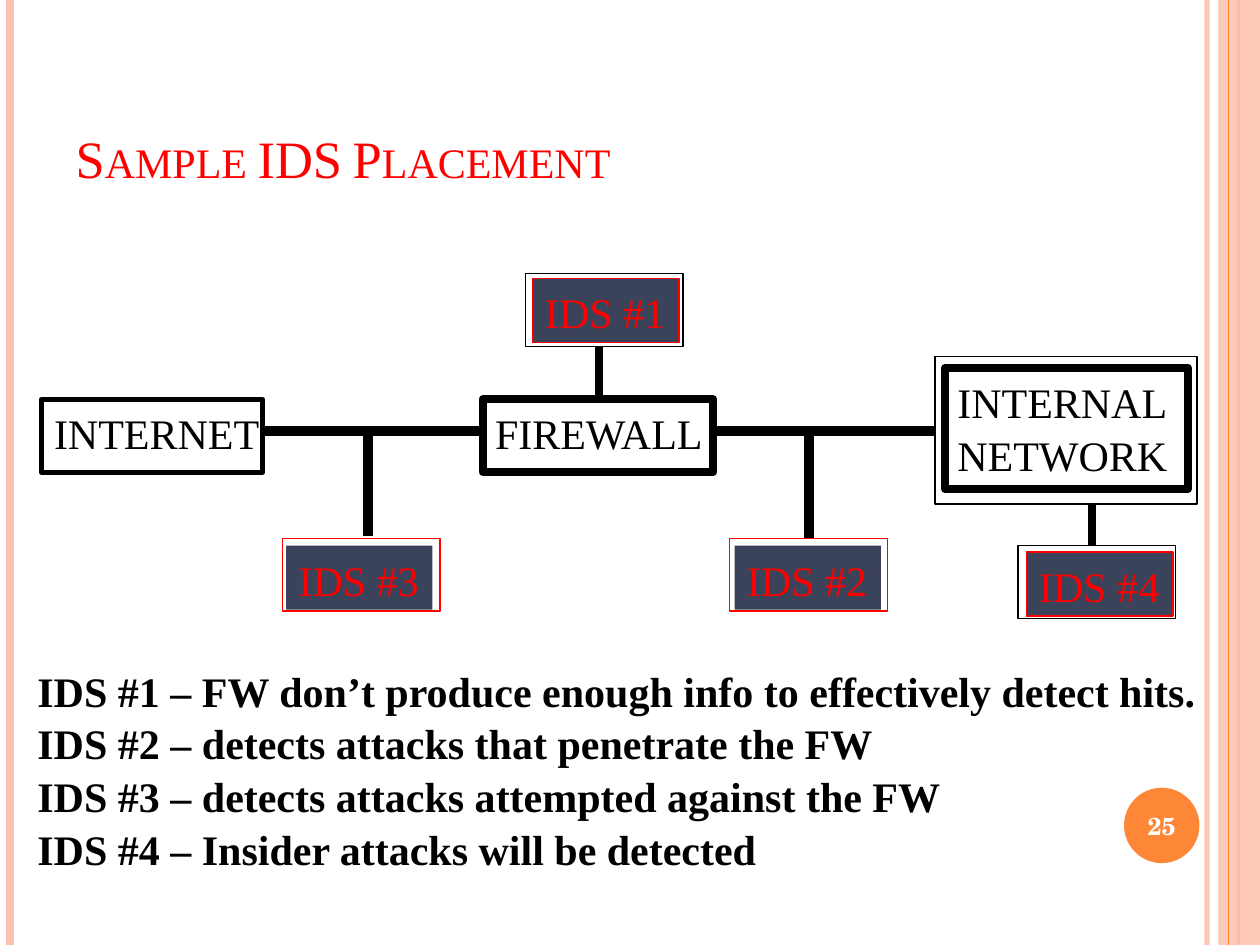
from dataclasses import dataclass
from lxml.etree import SubElement
from pptx import Presentation
from pptx.dml.color import RGBColor as Rgb
from pptx.enum.shapes import MSO_CONNECTOR as Conn, MSO_SHAPE as Kind
from pptx.enum.text import MSO_ANCHOR as Anchor, MSO_AUTO_SIZE as Auto, PP_ALIGN as Align
from pptx.oxml.ns import qn
from pptx.util import Cm, Pt


@dataclass(frozen=True)
class Theme:
    black: str = "000000"
    white: str = "FFFFFF"
    red: str = "FF0000"
    navy: str = "3B435B"
    peach: str = "FEC3AE"
    orange: str = "FE8637"
    serif: str = "Times New Roman"
    school: str = "TeX Gyre Schola"
    head: int = 30
    text: int = 24
    page: int = 14
    lead: float = 1.05


LOOK = Theme()


def style(item, form):
    for key, value in form.items():
        setattr(item, key, value)


def place(item, box):
    sides = ("left", "top", "width", "height")
    style(item, dict(zip(sides, map(Cm, box))))


def fade(color, share):
    """Make a solid colour partly transparent."""
    for node in color.iter(qn("a:srgbClr")):
        SubElement(node, qn("a:alpha"), val=str(share * 1000))


def write(shape, lines, color=LOOK.black, size=LOOK.text, face=LOOK.serif,
          bold=False, align=Align.LEFT, lead=LOOK.lead, **form):
    frame = shape.text_frame
    frame.text = "\n".join(lines)
    style(frame, {"auto_size": Auto.NONE, "word_wrap": False,
                  "vertical_anchor": Anchor.TOP} | form)
    for para in frame.paragraphs:
        style(para, {"alignment": align, "line_spacing": lead,
                     "space_before": Pt(0)})
        for run in para.runs:
            style(run.font, {"name": face, "size": Pt(size), "bold": bold})
            run.font.color.rgb = Rgb.from_string(color)


def block(slide, box, fill=None, line=None, width=0.75, kind=Kind.RECTANGLE):
    shape = slide.shapes.add_shape(kind, *map(Cm, box))
    shape.shadow.inherit = False
    if fill:
        shape.fill.solid()
        shape.fill.fore_color.rgb = Rgb.from_string(fill)
    else:
        shape.fill.background()
    if line:
        shape.line.color.rgb = Rgb.from_string(line)
        shape.line.width = Pt(width)
    else:
        shape.line.fill.background()
    return shape


def wire(slide, ends, width, color=LOOK.black):
    link = slide.shapes.add_connector(Conn.STRAIGHT, *map(Cm, ends))
    link.line.color.rgb = Rgb.from_string(color)
    link.line.width = Pt(width)
    SubElement(link._element.spPr, qn("a:effectLst"))
    return link


def rails(slide, high):
    """Stripes along both edges of the page."""
    def rail(x, width, color):
        return wire(slide, (x, 0, x, high), width, color)

    fade(rail(24.33, 3, LOOK.peach)._element, 93)
    rail(0.2, 4.5, LOOK.peach)
    rail(24.97, 1.5, LOOK.orange)
    fade(block(slide, (24.56, 0, 0.84, high), LOOK.peach)._element, 87)
    rail(24.77, 0.75, LOOK.orange)


def node(slide, box, lines, width):
    write(block(slide, box, None, LOOK.black, width), lines, margin_right=0)


def sensor(slide, name, outer, inner, edge, rim=None):
    """A dark label inside a thin frame."""
    label = block(slide, (*inner, 2.95, 1.29), LOOK.navy, rim)
    write(label, [name], LOOK.red)
    block(slide, (*outer, 3.18, 1.47), None, edge)


def heading(slide, words):
    title = slide.shapes.title
    place(title, (1.27, 0.76, 20.75, 3.18))
    write(title, [words], LOOK.red, LOOK.head, lead=1.0,
          word_wrap=True, vertical_anchor=Anchor.BOTTOM)
    title.text_frame.paragraphs[0].runs[0]._r.get_or_add_rPr().set("cap", "small")


def notes(slide, lines):
    body = slide.placeholders[1]
    place(body, (0.5, 13.23, 24.05, 4.32))
    write(body, lines, bold=True, word_wrap=True)
    for para in body.text_frame.paragraphs:
        props = para._p.get_or_add_pPr()
        style_none = {"marL": "0", "indent": "0"}
        for key, value in style_none.items():
            props.set(key, value)
        SubElement(props, qn("a:buNone"))


def main():
    deck = Presentation()
    style(deck, {"slide_width": Cm(25.4), "slide_height": Cm(19.05)})
    slide = deck.slides.add_slide(deck.slide_layouts[1])

    # Page frame and title
    rails(slide, 19.05)
    heading(slide, "Sample IDS Placement")

    # Network nodes
    node(slide, (0.84, 8.05, 4.45, 1.47), ["INTERNET"], 3)
    node(slide, (9.73, 8.05, 4.65, 1.47), ["FIREWALL"], 4.5)
    node(slide, (19.05, 7.42, 4.9, 2.44), ["INTERNAL", "NETWORK"], 4.5)
    block(slide, (18.85, 7.19, 5.28, 2.97), None, LOOK.black)

    # Sensors
    for spot in (
        ("IDS #1", (10.59, 5.51), (10.74, 5.61), LOOK.black, LOOK.red),
        ("IDS #2", (14.71, 10.85), (14.81, 11), LOOK.red),
        ("IDS #3", (5.69, 10.85), (5.77, 11), LOOK.red),
        ("IDS #4", (20.52, 11), (20.7, 11.13), LOOK.black, LOOK.red),
    ):
        sensor(slide, *spot)

    # Wiring
    for *ends, width in (
        (5.28, 8.69, 9.73, 8.69, 6),
        (14.4, 8.69, 18.85, 8.69, 6),
        (7.42, 10.8, 7.42, 8.69, 6),
        (16.31, 10.85, 16.31, 8.74, 6),
        (22.02, 11, 22.02, 10.16, 4.5),
        (12.07, 6.99, 12.07, 8.05, 4.5),
    ):
        wire(slide, ends, width)

    # Findings
    notes(slide, [
        "IDS #1 – FW don’t produce enough info to effectively detect hits.",
        "IDS #2 – detects attacks that penetrate the FW",
        "IDS #3 – detects attacks attempted against the FW",
        "IDS #4 – Insider attacks will be detected",
    ])

    # Page number
    badge = block(slide, (22.66, 15.88, 1.52, 1.52), LOOK.orange, kind=Kind.OVAL)
    write(badge, ["25"], LOOK.white, LOOK.page, LOOK.school, True, Align.CENTER,
          lead=1.0, vertical_anchor=Anchor.MIDDLE)

    deck.save("out.pptx")


if __name__ == "__main__":
    main()
